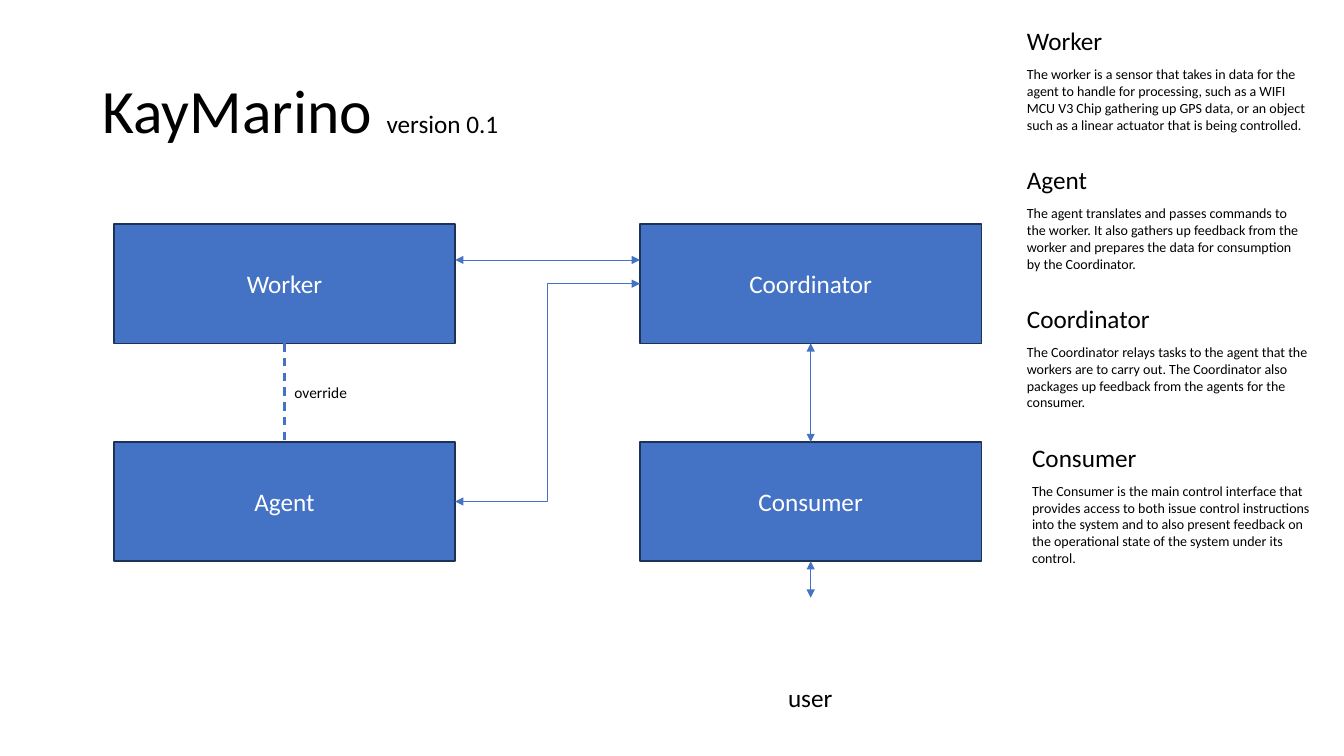
from lxml import etree
from pptx import Presentation
from pptx import util as u
from pptx.dml.color import RGBColor
from pptx.enum import dml, shapes, text
from pptx.oxml.ns import qn

# Content
TITLE = [("KayMarino ", 44), ("version 0.1", 18)]
ROLES = {  # name: (column, row) in the diagram
    "Worker": (0, 0), "Agent": (0, 1), "Consumer": (1, 1), "Coordinator": (1, 0),
}
NOTES = [  # heading, left edge in cm, description
    ("Worker", 25.63,
     "The worker is a sensor that takes in data for the agent to handle for "
     "processing, such as a WIFI MCU V3 Chip gathering up GPS data, or an object "
     "such as a linear actuator that is being controlled."),
    ("Agent", 25.63,
     "The agent translates and passes commands to the worker. It also gathers up "
     "feedback from the worker and prepares the data for consumption by the "
     "Coordinator."),
    ("Coordinator", 25.63,
     "The Coordinator relays tasks to the agent that the workers are to carry out. "
     "The Coordinator also packages up feedback from the agents for the consumer."),
    ("Consumer", 25.76,
     "The Consumer is the main control interface that provides access to both issue "
     "control instructions into the system and to also present feedback on the "
     "operational state of the system under its control."),
]

FONT = "Calibri"
BLUE = RGBColor(0x44, 0x72, 0xC4)
NAVY = RGBColor(0x1E, 0x32, 0x56)
BLACK = RGBColor(0, 0, 0)
WHITE = RGBColor(255, 255, 255)

# Grid of boxes
BOX_LEFT, BOX_TOP = u.Cm(2.87), u.Cm(5.65)
BOX_W, BOX_H = u.Cm(8.6), u.Cm(3)
COLUMN_STEP, ROW_STEP = u.Cm(13.26), u.Cm(5.49)
TOP, LEFT, BOTTOM, RIGHT = range(4)  # connection sites of a rectangle

# Column of notes
NOTES_TOP, NOTE_STEP, HEADING_H = u.Cm(0.51), u.Cm(3.5), u.Cm(1.02)
NOTE_W, NOTE_H = u.Cm(7.57), u.Cm(1.95)


def style(run, size, color=BLACK):
    run.font.name, run.font.size = FONT, u.Pt(size)
    run.font.color.rgb = color


def add_label(wording, left, top, width, height, size, wrap=False):
    frame = slide.shapes.add_textbox(left, top, width, height).text_frame
    frame.word_wrap = wrap
    frame.text = wording
    style(frame.paragraphs[0].runs[0], size)


def add_role(name, column, row):
    box = slide.shapes.add_shape(
        shapes.MSO_SHAPE.RECTANGLE, BOX_LEFT + column * COLUMN_STEP,
        BOX_TOP + row * ROW_STEP, BOX_W, BOX_H)
    box.shadow.inherit = False
    box.fill.solid()
    box.fill.fore_color.rgb = BLUE
    box.line.color.rgb, box.line.width = NAVY, u.Pt(1)
    box.text_frame.text = name
    box.text_frame.vertical_anchor = text.MSO_ANCHOR.MIDDLE
    paragraph = box.text_frame.paragraphs[0]
    paragraph.alignment = text.PP_ALIGN.CENTER
    style(paragraph.runs[0], 18, WHITE)
    return box


def add_link(start=(0, 0), end=(0, 0), kind=shapes.MSO_CONNECTOR.STRAIGHT,
             width=0.5, arrows=True):
    link = slide.shapes.add_connector(kind, *start, *end)
    link.line.color.rgb, link.line.width = BLUE, u.Pt(width)
    properties = link.line._get_or_add_ln()
    if arrows:
        for tip in ("a:headEnd", "a:tailEnd"):
            etree.SubElement(properties, qn(tip), type="triangle")
    etree.SubElement(link._element.spPr, qn("a:effectLst"))
    return link


def join(first, first_site, second, second_site, **look):
    link = add_link(**look)
    link.begin_connect(first, first_site)
    link.end_connect(second, second_site)
    return link


deck = Presentation()
deck.slide_width, deck.slide_height = u.Cm(33.87), u.Cm(19.05)
slide = deck.slides.add_slide(deck.slide_layouts[5])

# Title
title = slide.shapes.title
title.left, title.top, title.width, title.height = (
    u.Cm(2.33), u.Cm(1.01), u.Cm(29.21), u.Cm(3.68))
title.text_frame.vertical_anchor = text.MSO_ANCHOR.MIDDLE
title.text_frame.auto_size = text.MSO_AUTO_SIZE.NONE
heading = title.text_frame.paragraphs[0]
heading.alignment, heading.line_spacing = text.PP_ALIGN.LEFT, 0.9
for wording, size in TITLE:
    run = heading.add_run()
    run.text = wording
    style(run, size)

# Role boxes
roles = {name: add_role(name, *cell) for name, cell in ROLES.items()}
worker, agent = roles["Worker"], roles["Agent"]
coordinator, consumer = roles["Coordinator"], roles["Consumer"]

# Links between roles
override = join(worker, BOTTOM, agent, TOP, width=1.5, arrows=False)
override.line.dash_style = dml.MSO_LINE.DASH
join(coordinator, BOTTOM, consumer, TOP)
join(agent, RIGHT, coordinator, LEFT, kind=shapes.MSO_CONNECTOR.ELBOW)
feedback_y = BOX_TOP + u.Cm(0.9)
add_link((coordinator.left, feedback_y), (worker.left + BOX_W, feedback_y))

# Link to the user
user_x, user_y = consumer.left + BOX_W // 2, consumer.top + BOX_H
user_link = add_link((user_x, user_y), (user_x, user_y + u.Cm(0.92)))
user_link.begin_connect(consumer, BOTTOM)

# Diagram labels
add_label("override", worker.left + BOX_W // 2, u.Cm(9.52), u.Cm(1.85), u.Cm(0.74), 11)
add_label("user", u.Cm(19.61), u.Cm(17.07), u.Cm(1.65), HEADING_H, 18)

# Notes
for index, (name, left, description) in enumerate(NOTES):
    top = NOTES_TOP + index * NOTE_STEP
    add_label(name, u.Cm(left), top, u.Cm(3.63), HEADING_H, 18, wrap=True)
    add_label(description, u.Cm(left), top + HEADING_H, NOTE_W, NOTE_H, 10, wrap=True)

deck.save("out.pptx")
